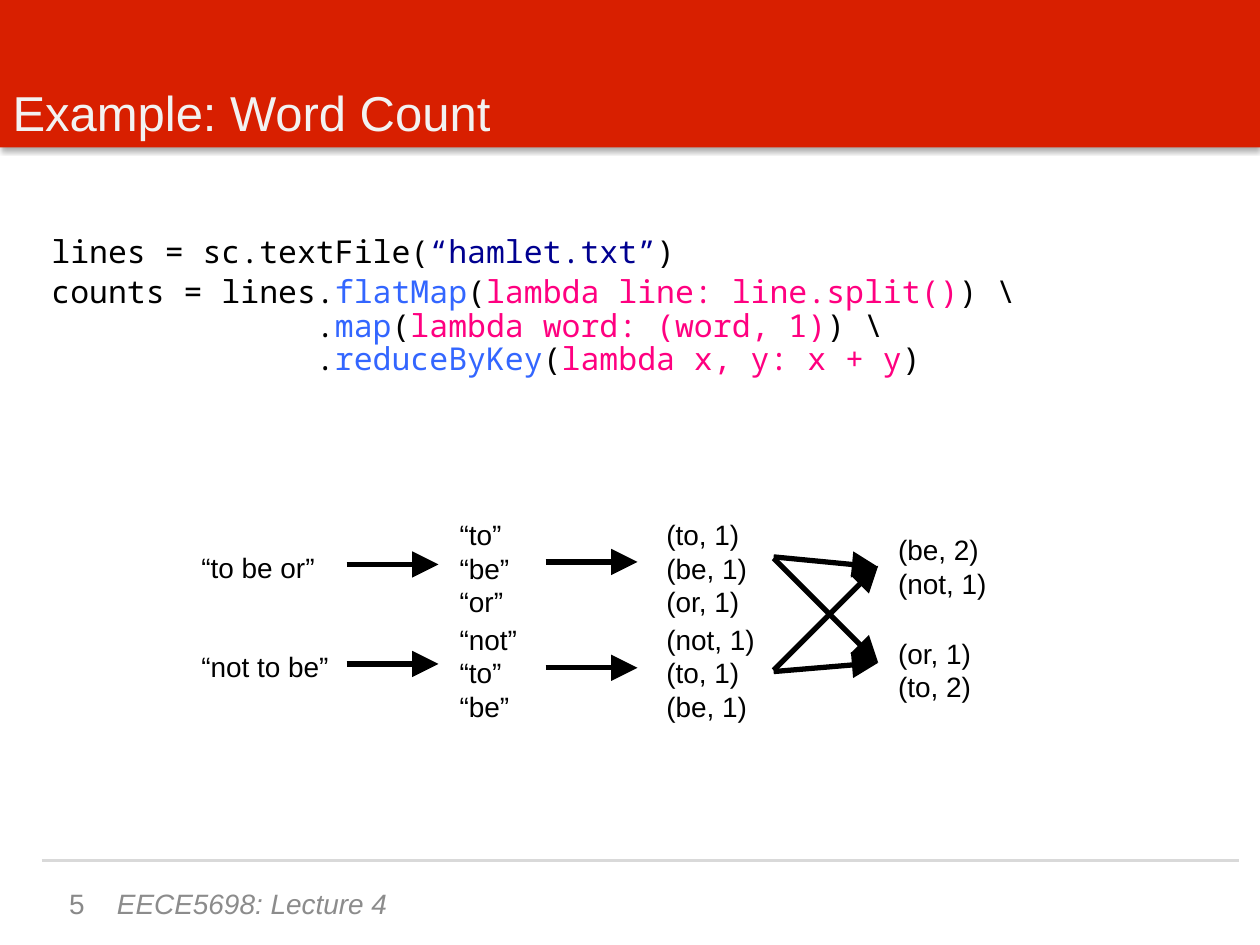
from lxml import etree
from pptx import Presentation
from pptx.dml.color import RGBColor
from pptx.enum.shapes import MSO_CONNECTOR, MSO_SHAPE
from pptx.enum.text import MSO_ANCHOR, MSO_AUTO_SIZE, PP_ALIGN
from pptx.oxml import parse_xml
from pptx.oxml.ns import nsdecls, qn
from pptx.util import Inches, Pt

RED = RGBColor(0xD8, 0x1F, 0x00)
OFF_WHITE = RGBColor(0xF2, 0xF2, 0xF2)
RULE_GRAY = RGBColor(0xD9, 0xD9, 0xD9)
FOOTER_GRAY = RGBColor(0x8C, 0x8C, 0x8C)
NUMBER_GRAY = RGBColor(0x89, 0x89, 0x89)
BLACK = RGBColor(0, 0, 0)
NAVY = RGBColor(0x00, 0x00, 0x90)
BLUE = RGBColor(0x33, 0x66, 0xFF)
PINK = RGBColor(0xFF, 0x00, 0x80)

CALL_INDENT = " " * len("counts = lines")

# Paragraphs of code lines; each line is a list of (text, colour) spans.
CODE = [
    [[("lines = sc.textFile(", BLACK), ("“hamlet.txt”", NAVY), (")", BLACK)]],
    [
        [("counts = lines.", BLACK), ("flatMap", BLUE), ("(", BLACK),
         ("lambda line: line.split()", PINK), (") \\", BLACK)],
        [(CALL_INDENT + ".", BLACK), ("map", BLUE), ("(", BLACK),
         ("lambda word: (word, 1)", PINK), (") \\", BLACK)],
        [(CALL_INDENT + ".", BLACK), ("reduceByKey", BLUE), ("(", BLACK),
         ("lambda x, y: x + y", PINK), (")", BLACK)],
    ],
]

# left, top, width, height, text (\v breaks a line, \n a paragraph)
DATA_LABELS = [
    (1.5, 4.32, 1.12, 0.37, "“to be or”"),
    (1.5, 5.11, 1.23, 0.37, "“not to be”"),
    (3.55, 4.06, 0.6, 0.91, "“to”\v“be”\v“or”"),
    (3.55, 4.89, 0.66, 0.91, "“not”\v“to”\v“be”"),
    (5.19, 4.06, 0.85, 0.91, "(to, 1)\v(be, 1)\v(or, 1)"),
    (5.19, 4.89, 0.92, 0.91, "(not, 1)\v(to, 1)\v(be, 1)"),
    (7.03, 4.18, 0.92, 0.64, "(be, 2)\v(not, 1)"),
    (7.03, 5.0, 0.79, 0.64, "(or, 1)\n(to, 2)"),
]

# x1, y1, x2, y2
ARROWS = [
    (2.75, 4.48, 3.48, 4.48),
    (2.75, 5.27, 3.48, 5.27),
    (4.33, 4.46, 5.06, 4.46),
    (4.33, 5.3, 5.06, 5.3),
    (6.14, 4.43, 6.97, 5.26),
    (6.14, 4.42, 6.97, 4.5),
    (6.14, 5.32, 6.97, 4.49),
    (6.14, 5.33, 6.97, 5.26),
]


def style_font(font, size, color, name="Arial"):
    font.name = name
    font.size = Pt(size)
    font.color.rgb = color


def add_banner(slide):
    """Add the red band with its soft shadow, behind the title."""
    banner = slide.shapes.add_shape(
        MSO_SHAPE.RECTANGLE, 0, 0, Inches(10), Inches(1.17))
    banner.fill.solid()
    banner.fill.fore_color.rgb = RED
    banner.line.fill.background()
    banner.element.spPr.append(parse_xml(
        f'<a:effectLst {nsdecls("a")}>'
        f'<a:outerShdw blurRad="{Pt(3.1)}" dist="{Pt(1.8)}" dir="5400000">'
        '<a:srgbClr val="000000"><a:alpha val="35000"/></a:srgbClr>'
        '</a:outerShdw></a:effectLst>'))
    slide.shapes.title.element.addprevious(banner.element)


def set_title(slide, text):
    title = slide.shapes.title
    title.left, title.top = 0, 0
    title.width, title.height = Inches(10), Inches(1.17)
    frame = title.text_frame
    frame.text = text
    frame.vertical_anchor = MSO_ANCHOR.BOTTOM
    para = frame.paragraphs[0]
    para.alignment = PP_ALIGN.LEFT
    style_font(para.font, 28, OFF_WHITE)


def add_line(slide, x1, y1, x2, y2, color, weight):
    line = slide.shapes.add_connector(
        MSO_CONNECTOR.STRAIGHT, Inches(x1), Inches(y1), Inches(x2), Inches(y2))
    line.line.color.rgb = color
    line.line.width = Pt(weight)
    etree.SubElement(line.element.spPr, qn("a:effectLst"))
    return line


def add_arrow(slide, x1, y1, x2, y2):
    arrow = add_line(slide, x1, y1, x2, y2, BLACK, 3)
    outline = arrow.element.spPr.find(qn("a:ln"))
    etree.SubElement(outline, qn("a:tailEnd"), type="triangle", w="lg", len="lg")


def add_text(slide, left, top, width, height, text, color=BLACK):
    box = slide.shapes.add_textbox(
        Inches(left), Inches(top), Inches(width), Inches(height))
    frame = box.text_frame
    frame.text = text
    for para in frame.paragraphs:
        style_font(para.font, 16, color)
    return frame


def add_data_label(slide, left, top, width, height, text):
    frame = add_text(slide, left, top, width, height, text)
    frame.word_wrap = False
    frame.auto_size = MSO_AUTO_SIZE.SHAPE_TO_FIT_TEXT


def add_footer(slide, left, width, text, color):
    frame = add_text(slide, left, 6.97, width, 0.4, text, color)
    frame.word_wrap = True
    frame.vertical_anchor = MSO_ANCHOR.MIDDLE
    return frame.paragraphs[0]


def add_code(slide):
    box = slide.shapes.add_textbox(
        Inches(0.31), Inches(1.83), Inches(9.5), Inches(1.56))
    frame = box.text_frame
    frame.word_wrap = True
    for number, lines in enumerate(CODE):
        para = frame.add_paragraph() if number else frame.paragraphs[0]
        para.space_before = Pt(3.6)
        para.line_spacing = 0.89
        for row, spans in enumerate(lines):
            if row:
                para.add_line_break()
            for text, color in spans:
                span = para.add_run()
                span.text = text
                style_font(span.font, 18, color, "Noto Sans Mono")


def main():
    deck = Presentation()
    deck.slide_width, deck.slide_height = Inches(10), Inches(7.5)
    slide = deck.slides.add_slide(deck.slide_layouts[5])
    add_banner(slide)
    set_title(slide, "Example: Word Count")
    add_line(slide, 0.33, 6.83, 9.83, 6.83, RULE_GRAY, 2)
    course = add_footer(slide, 0.83, 6.02, "EECE5698: Lecture 4", FOOTER_GRAY)
    course.font.italic = True
    page = add_footer(slide, 0.27, 0.5, "5", NUMBER_GRAY)
    page.alignment = PP_ALIGN.RIGHT
    add_code(slide)
    for label in DATA_LABELS:
        add_data_label(slide, *label)
    for arrow in ARROWS:
        add_arrow(slide, *arrow)
    deck.save("out.pptx")


if __name__ == "__main__":
    main()
